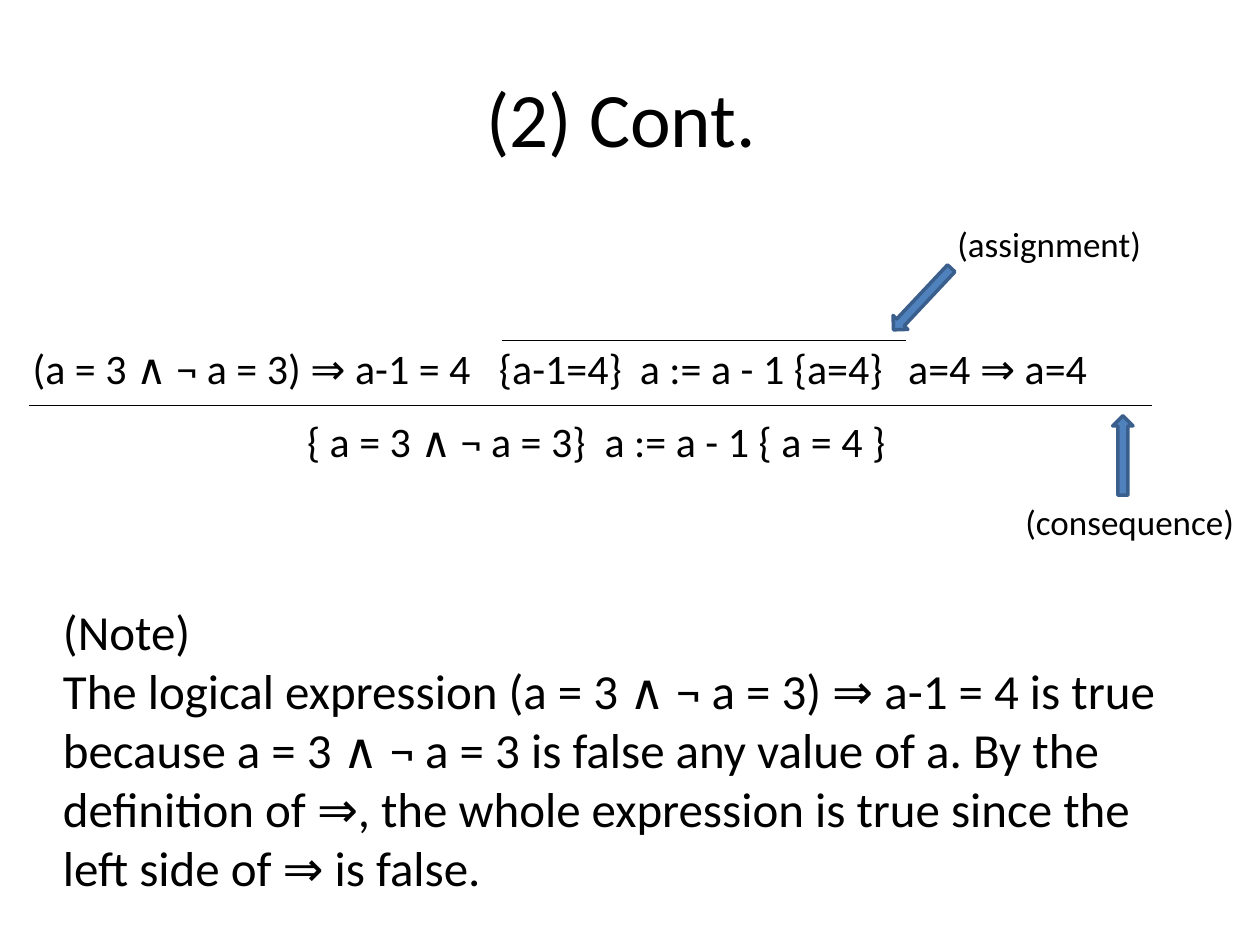
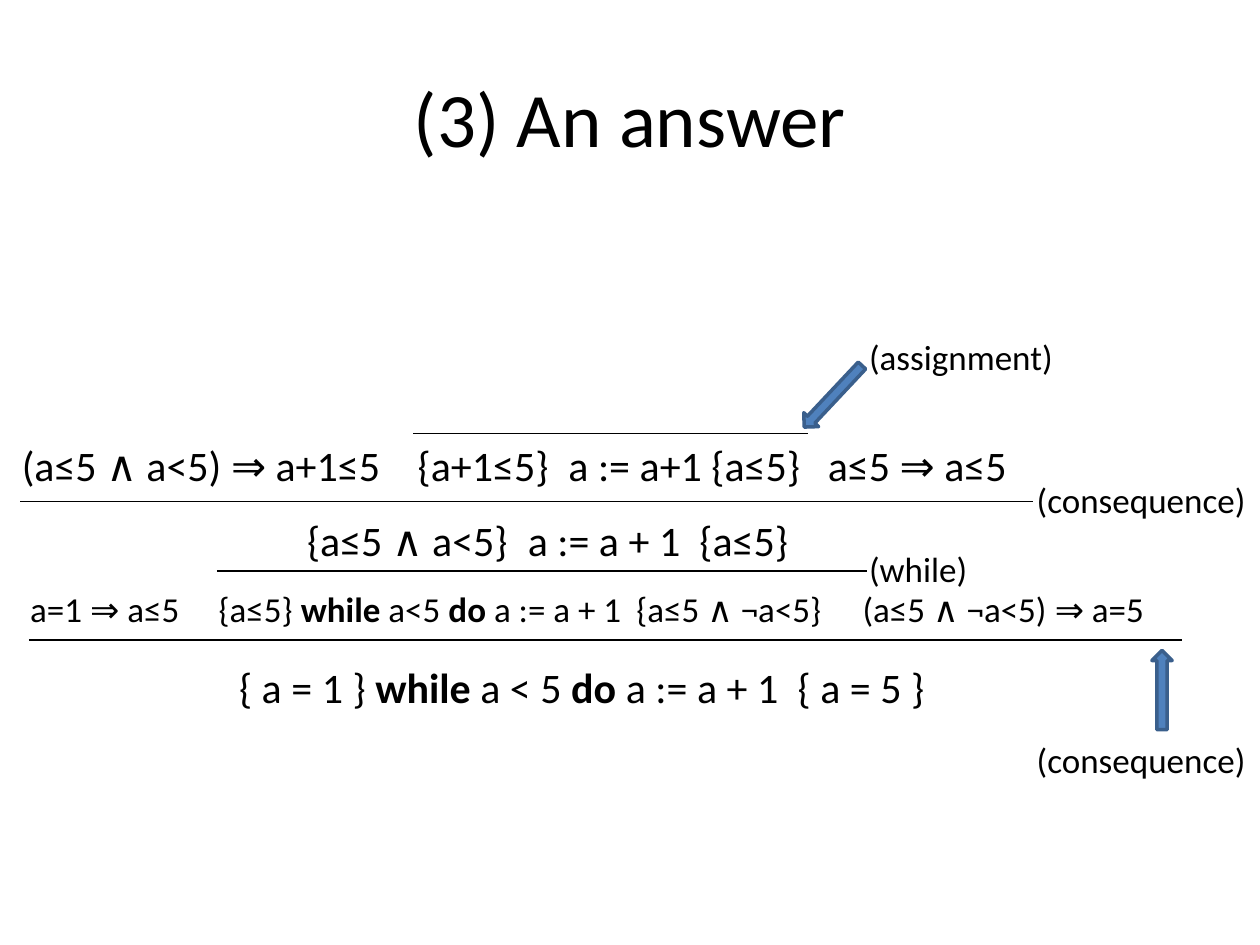
from dataclasses import dataclass

from lxml import etree
from pptx import Presentation
from pptx.dml.color import RGBColor
from pptx.enum import shapes, text
from pptx.oxml import ns
from pptx.util import Cm, Pt


@dataclass(frozen=True)
class Theme:
    font: str = "Calibri"
    ink: RGBColor = RGBColor(0, 0, 0)
    arrow_fill: RGBColor = RGBColor(0x4F, 0x81, 0xBD)
    arrow_edge: RGBColor = RGBColor(0x3A, 0x5F, 0x8C)
    title_size: int = 44
    note_size: int = 28
    formula_size: int = 24
    label_size: int = 20
    rule_width: float = 0.75
    arrow_edge_width: float = 2


THEME = Theme()
LABEL_WIDTHS = {"(assignment)": 4.27, "(consequence)": 4.78, "(while)": 2.51}
ROW_HEIGHT = 1.27
LABEL_HEIGHT = 1.11


def apply(target, values):
    for name, value in values.items():
        setattr(target, name, value)


def add_spans(para, content, size):
    for index, piece in enumerate(content.split("*")):
        if not piece:
            continue
        span = para.add_run()
        span.text = piece
        apply(span.font, {"name": THEME.font, "size": Pt(size), "bold": index % 2 == 1})
        span.font.color.rgb = THEME.ink


def set_tabs(para, stops):
    tab_list = etree.SubElement(para._p.get_or_add_pPr(), ns.qn("a:tabLst"))
    for stop in stops:
        etree.SubElement(tab_list, ns.qn("a:tab"), pos=str(Cm(stop)), algn="l")


def add_title(page, content):
    box = page.shapes.title
    apply(box, {"left": Cm(1.27), "top": Cm(0.76), "width": Cm(22.86), "height": Cm(3.18)})
    box.text_frame.vertical_anchor = text.MSO_ANCHOR.MIDDLE
    para = box.text_frame.paragraphs[0]
    para.alignment = text.PP_ALIGN.CENTER
    add_spans(para, content, THEME.title_size)


def add_text(page, lines, left, top, width, height, size, stops=(), wrap=True):
    box = page.shapes.add_textbox(Cm(left), Cm(top), Cm(width), Cm(height))
    frame = box.text_frame
    apply(frame, {"word_wrap": wrap, "auto_size": text.MSO_AUTO_SIZE.SHAPE_TO_FIT_TEXT})
    for index, line in enumerate(lines):
        para = frame.add_paragraph() if index else frame.paragraphs[0]
        if stops:
            set_tabs(para, stops)
        add_spans(para, line, size)


def add_formula(page, parts, left, top, width, stops, size=THEME.formula_size):
    add_text(page, ["\t".join(parts)], left, top, width, ROW_HEIGHT, size, stops)


def add_label(page, content, left, top):
    add_text(page, [content], left, top, LABEL_WIDTHS[content], LABEL_HEIGHT,
             THEME.label_size, wrap=False)


def add_inference_line(page, left, right, top):
    line = page.shapes.add_connector(
        shapes.MSO_CONNECTOR.STRAIGHT, Cm(left), Cm(top), Cm(right), Cm(top))
    line.line.color.rgb = THEME.ink
    line.line.width = Pt(THEME.rule_width)
    etree.SubElement(line._element.spPr, ns.qn("a:effectLst"))


def add_arrow(page, left, top, height, rotation):
    arrow = page.shapes.add_shape(
        shapes.MSO_SHAPE.DOWN_ARROW, Cm(left), Cm(top), Cm(0.41), Cm(height))
    arrow.rotation = rotation
    arrow.shadow.inherit = False
    arrow.fill.solid()
    arrow.fill.fore_color.rgb = THEME.arrow_fill
    arrow.line.color.rgb = THEME.arrow_edge
    arrow.line.width = Pt(THEME.arrow_edge_width)


def add_assignment_arrow(page, left, top):
    add_arrow(page, left, top, 1.7, 43.2)


def add_consequence_arrow(page, left, top):
    add_arrow(page, left, top, 1.6, 180)


def add_page(deck, title):
    page = deck.slides.add_slide(deck.slide_layouts[5])
    add_title(page, title)
    return page


def build_continuation(deck):
    page = add_page(deck, "(2) Cont. ")
    add_label(page, "(assignment)", 19.05, 4.37)
    add_assignment_arrow(page, 18.39, 5.18)
    add_inference_line(page, 10.11, 18.26, 6.86)
    add_formula(page, ["(a = 3 ∧ ¬ a = 3) ⇒ a-1 = 4", "{a-1=4}", "a := a - 1 {a=4}", "a=4 ⇒ a=4"],
                0.41, 6.78, 23.62, [9.4, 12.24, 17.65])
    add_inference_line(page, 0.58, 23.22, 8.18)
    add_formula(page, ["{ a = 3 ∧ ¬ a = 3}", "a := a - 1 { a = 4 }"],
                5.94, 8.26, 12.5, [6.0])
    add_consequence_arrow(page, 22.43, 8.38)
    add_label(page, "(consequence)", 20.42, 9.96)
    note = [
        "(Note)",
        "The logical expression (a = 3 ∧ ¬ a = 3) ⇒ a-1 = 4 is true because "
        "a = 3 ∧ ¬ a = 3 is false any value of a. By the definition of ⇒, "
        "the whole expression is true since the left side of ⇒ is false.",
    ]
    add_text(page, note, 1.02, 12.01, 23.52, 6.25, THEME.note_size)


def build_answer(deck):
    page = add_page(deck, "(3) An answer")
    add_label(page, "(assignment)", 17.27, 6.63)
    add_assignment_arrow(page, 16.59, 7.14)
    add_inference_line(page, 8.33, 16.28, 8.74)
    add_formula(page, ["(a≤5 ∧ a<5) ⇒ a+1≤5", "{a+1≤5}", "a := a+1 {a≤5}", "a≤5 ⇒ a≤5"],
                0.19, 8.74, 21.6, [7.98, 11.02, 16.25])
    add_inference_line(page, 0.41, 20.83, 10.11)
    add_label(page, "(consequence)", 20.65, 9.53)
    add_formula(page, ["{a≤5 ∧ a<5}", "a := a + 1", "{a≤5}"],
                5.94, 10.24, 11.3, [4.45, 7.91])
    add_inference_line(page, 4.37, 17.48, 11.51)
    add_label(page, "(while)", 17.27, 10.92)
    add_formula(page, ["a=1 ⇒ a≤5", "{a≤5} *while* a<5 *do* a := a + 1",
                       "{a≤5 ∧ ¬a<5}", "(a≤5 ∧ ¬a<5) ⇒ a=5"],
                0.36, 11.71, 24.05, [3.8, 12.22, 16.78], THEME.label_size)
    add_inference_line(page, 0.58, 23.83, 12.9)
    add_formula(page, ["{ a = 1 } *while* a < 5 *do* a := a + 1", "{ a = 5 }"],
                4.57, 13.21, 15.47, [11.26])
    add_consequence_arrow(page, 23.22, 13.11)
    add_label(page, "(consequence)", 20.65, 14.76)


def main():
    deck = Presentation()
    apply(deck, {"slide_width": Cm(25.4), "slide_height": Cm(19.05)})
    build_continuation(deck)
    build_answer(deck)
    deck.save("out.pptx")


if __name__ == "__main__":
    main()
